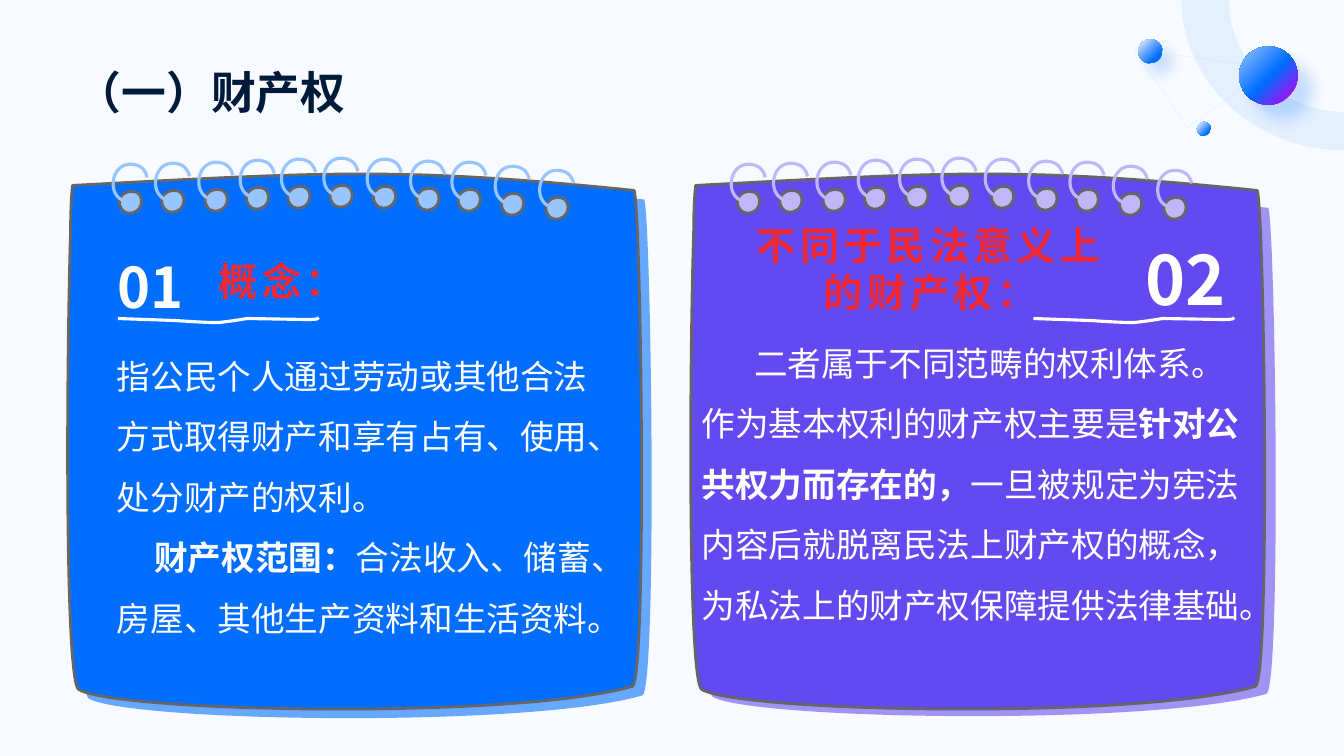
import pptx
import pptx.util
import pptx.dml.color
import pptx.enum.shapes
import pptx.enum.text
import pptx.oxml
import pptx.oxml.ns
from lxml import etree

PX = 9144
STEPS = 8
ALIGN = pptx.enum.text.PP_ALIGN
ANCHOR = pptx.enum.text.MSO_ANCHOR
RGB = pptx.dml.color.RGBColor.from_string
qn = pptx.oxml.ns.qn

THEME = {
    "background": "F7FAFF", "title": "001A3A", "text": "FFFFFF", "accent": "F02836",
    "outline": "666666", "pale": "CCE2FF", "sky": "99C5FF", "azure": "67A8FF",
    "blue": "016EFF", "violet": "9618F4", "indigo": "624AF0", "lilac": "A192F6",
    "lavender": "C0B7F9",
    "title_size": 32, "body_size": 24, "heading_size": 28,
    "title_font": "Arial", "font": "Noto Sans CJK SC",
}


def trace(path, dx=0, dy=0, ky=1, fill=None, line=None, width=1):
    segs = [[((x + dx) * PX, (y * ky + dy) * PX) for x, y in zip(seg[::2], seg[1::2])] for seg in path]
    pts = [segs[0][0]]
    for seg in segs[1:]:
        if len(seg) == 3:
            curve = list(zip(pts[-1], *seg))
            for t in (i / STEPS for i in range(1, STEPS)):
                pts.append(tuple((1 - t) ** 3 * a + 3 * t * (1 - t) ** 2 * b
                                 + 3 * t * t * (1 - t) * c + t ** 3 * d for a, b, c, d in curve))
        pts.append(seg[-1])
    builder = s.shapes.build_freeform(*pts[0], scale=1.0)
    builder.add_line_segments(pts[1:], close=path[-1][-2:] == path[0])
    sp = builder.convert_to_shape()
    outline = next(sp._element.spPr.iter(qn("a:path")))
    for lineto in outline.findall(qn("a:lnTo")):
        outline.remove(lineto)
    for i, seg in enumerate(segs[1:], 1):
        step = etree.Element(qn("a:cubicBezTo" if len(seg) == 3 else "a:lnTo"))
        for x, y in seg:
            etree.SubElement(step, qn("a:pt"), x=str(round(x - sp.left)), y=str(round(y - sp.top)))
        outline.insert(i, step)
    sp.shadow.inherit = False
    if fill:
        sp.fill.solid()
        sp.fill.fore_color.rgb = RGB(THEME[fill])
    else:
        sp.fill.background()
    if line:
        sp.line.color.rgb = RGB(THEME[line])
        sp.line.width = pptx.util.Pt(width)
    else:
        sp.line.fill.background()
    return sp


def write(sp, box, paragraphs, size, color="text", font="font", bold=None,
          align=ALIGN.LEFT, anchor=ANCHOR.TOP, spacing=None, tracking=None):
    sp.left, sp.top, sp.width, sp.height = (v * PX for v in box)
    tf = sp.text_frame
    tf.word_wrap = True
    tf.auto_size = pptx.enum.text.MSO_AUTO_SIZE.NONE
    tf.vertical_anchor = anchor
    tf.margin_left = tf.margin_top = tf.margin_right = tf.margin_bottom = 0
    for i, (indent, runs) in enumerate(paragraphs):
        p = tf.add_paragraph() if i else tf.paragraphs[0]
        p.alignment = align
        if spacing:
            p.line_spacing = spacing
        if indent:
            p._p.get_or_add_pPr().set("indent", str(indent * PX))
        p.font.size = pptx.util.Pt(size)
        p.font.bold = bold
        p.font.color.rgb = RGB(THEME[color])
        p.font.name = THEME[font]
        props = p.font._element
        etree.SubElement(props, qn("a:ea")).set("typeface", THEME["font"])
        if tracking:
            props.set("spc", str(tracking * 100))
        for text, strong in runs:
            r = p.add_run()
            r.text = text
            if strong:
                r.font.bold = True


prs = pptx.Presentation()
prs.slide_width, prs.slide_height = 1333 * PX, 750 * PX
s = prs.slides.add_slide(prs.slide_layouts[5])
s.background.fill.solid()
s.background.fill.fore_color.rgb = RGB(THEME["background"])

write(s.shapes.title, (76, 39, 1181, 79), [(0, [("（一）财产权", False)])],
      THEME["title_size"], "title", "title_font", True, anchor=ANCHOR.BOTTOM)

links = trace([(1125, 49), (1258, 67), (1178, 127), (1125, 49)], line="pale", width=0.25)
arc = trace([(1172, 0), (1219, 0), (1219, 5), (1222, 62, 1269, 108, 1328, 111), (1333, 111),
             (1333, 149), (1326, 149), (1243, 145, 1177, 84, 1172, 7), (1172, 0)], fill="sky")
for sp, alpha in ((links, 50), (arc, 20)):
    for clr in sp._element.spPr.iter(qn("a:srgbClr")):
        etree.SubElement(clr, qn("a:alpha")).set("val", str(alpha * 1000))

planets = [
    (1229, 46, 58, [(0, "sky"), (52, "blue"), (85, "violet")], 15),
    (1129, 39, 24, [(12, "pale"), (40, "azure"), (75, "blue")], 10),
    (1187, 121, 14, [(13, "pale"), (75, "blue")], 0),
]
NS = pptx.oxml.ns.nsdecls("a")
for x, y, d, stops, distance in planets:
    sp = s.shapes.add_shape(pptx.enum.shapes.MSO_SHAPE.OVAL, x * PX, y * PX, d * PX, d * PX)
    sp.line.fill.background()
    sp.shadow.inherit = False
    sp.fill.gradient()
    spPr = sp._element.spPr
    gs = "".join(f'<a:gs pos="{pos * 1000}"><a:srgbClr val="{THEME[c]}"/></a:gs>' for pos, c in stops)
    spPr.replace(spPr.find(qn("a:gradFill")), pptx.oxml.parse_xml(
        f'<a:gradFill {NS} rotWithShape="1"><a:gsLst>{gs}</a:gsLst><a:path path="circle">'
        '<a:fillToRect r="100000" b="100000"/></a:path></a:gradFill>'))
    if distance:
        spPr.find(qn("a:effectLst")).append(pptx.oxml.parse_xml(
            f'<a:outerShdw {NS} blurRad="127000" dist="{distance * 12700}" dir="2700000">'
            f'<a:srgbClr val="{THEME["blue"]}"><a:alpha val="20000"/></a:srgbClr></a:outerShdw>'))

page = [(72, 184), (71, 192, 70, 207, 70, 229), (66, 355, 64, 675, 78, 684),
        (116, 707, 513, 714, 627, 681), (642, 676, 636, 212, 629, 189),
        (396, 165, 318, 171, 72, 184)]
hole = [(18, 20), (25, 15, 24, 0, 12, 1), (4, 1, -4, 9, 3, 19), (6, 23, 13, 24, 18, 20)]
ring = [(33, 14), (32, 9, 29, 2, 18, 1), (-4, -1, -8, 35, 13, 38)]
underline = [(117, 316), (174, 318), (190, 319, 204, 320, 216, 320),
             (228, 319, 245, 316, 245, 316), (304, 317), (316, 317, 316, 316, 316, 315)]
hole_spots = [(118, 189), (160, 188), (203, 187), (244, 185), (285, 184), (327, 183),
              (370, 184), (413, 186), (454, 187), (497, 191), (541, 195)]
notebooks = [
    (618, 629, 21, 0.98, 613, 908, "lilac", "indigo", "lavender"),
    (0, 10, 9, 1, 0, 0, "azure", "blue", "sky"),
]
for page_x, back_x, back_y, squash, ring_x, underline_x, back, front, wire in notebooks:
    trace(page, back_x, back_y, squash, fill=back)
    trace(page, page_x, fill=front, line="outline", width=2)
    for x, y in hole_spots:
        trace(hole, x + ring_x, y, fill=wire, line="outline", width=2)
        trace(ring, x + ring_x - 5, y - 27, line=wire, width=2.25)
    trace(underline, underline_x, line="text", width=2.25)

bodies = [
    ((116, 333, 481, 358), [
        (0, [("指公民个人通过劳动或其他合法方式取得财产和享有占有、使用、处分财产的权利。", False)]),
        (37, [("财产权范围：", True),
              ("合法收入、储蓄、房屋、其他生产资料和生活资料。", False)])]),
    ((696, 320, 548, 355), [
        (52, [("二者属于不同范畴的权利体系。作为基本权利的财产权主要是", False),
              ("针对公共权力而存在的，", True),
              ("一旦被规定为宪法内容后就脱离民法上财产权的概念，为私法上的财产权保障提供法律基础。", False)])]),
]
for box, paragraphs in bodies:
    write(s.shapes.add_textbox(0, 0, 0, 0), box, paragraphs, THEME["body_size"], spacing=1.5)

numbers = [("01", (117, 225, 480, 92), 40, ALIGN.LEFT), ("02", (735, 225, 481, 92), 48.6, ALIGN.RIGHT)]
for text, box, size, align in numbers:
    write(s.shapes.add_textbox(0, 0, 0, 0), box, [(0, [(text, False)])], size, bold=True,
          align=align, anchor=ANCHOR.BOTTOM)

headings = [("概念：", (203, 251, 153, 56)), ("不同于民法意义上的财产权：", (735, 217, 375, 98))]
for text, box in headings:
    write(s.shapes.add_textbox(0, 0, 0, 0), box, [(0, [(text, False)])], THEME["heading_size"],
          "accent", bold=True, align=ALIGN.CENTER, anchor=ANCHOR.MIDDLE, tracking=3)

prs.save("out.pptx")
